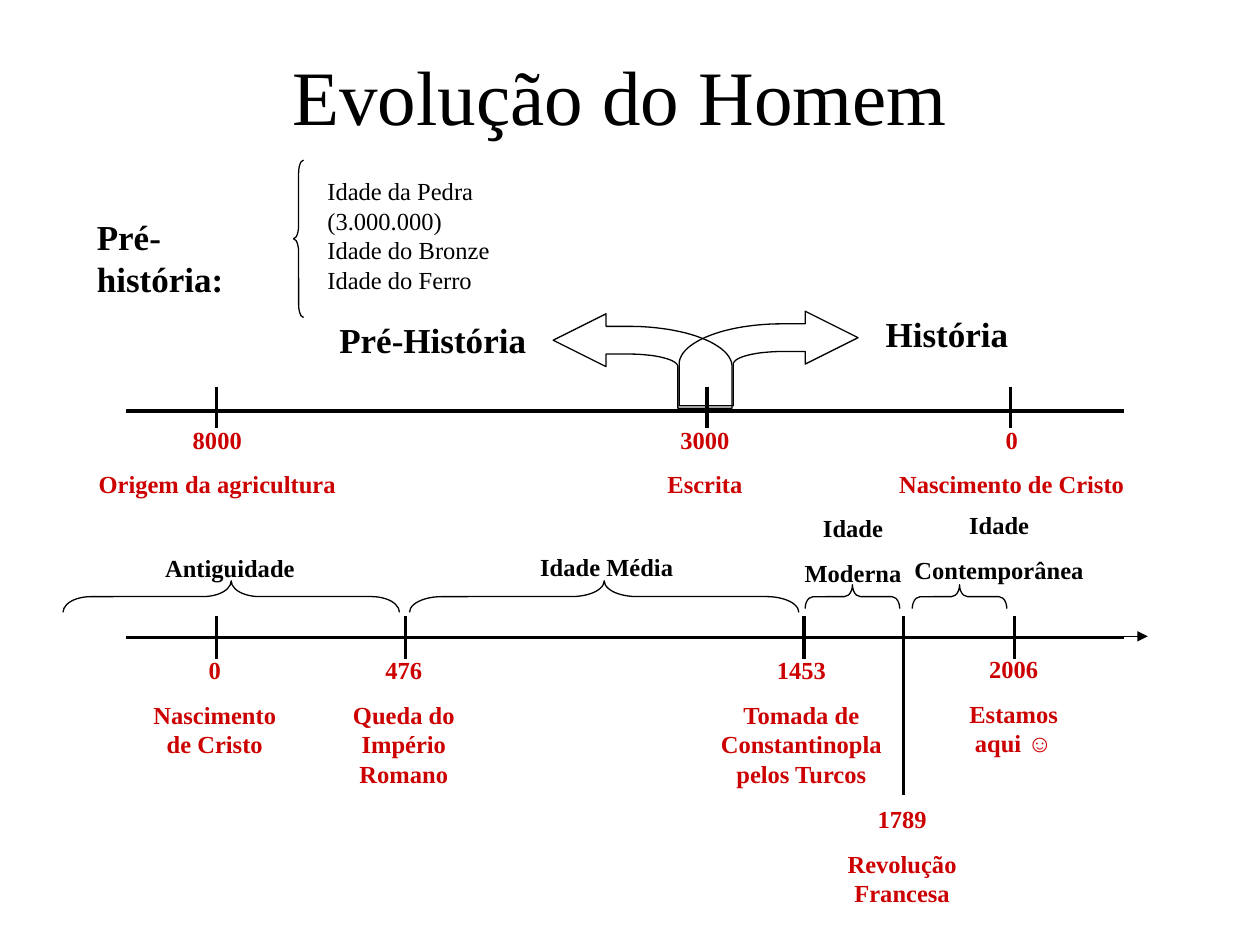
import math

import pptx
import pptx.dml.color
import pptx.enum.shapes
import pptx.enum.text
import pptx.oxml
import pptx.oxml.ns
import pptx.util
from pptx.util import Inches

BLACK = pptx.dml.color.RGBColor(0x00, 0x00, 0x00)
RED = pptx.dml.color.RGBColor(0xCC, 0x00, 0x00)
FONT = "Times New Roman"
SYMBOL_FONT = "Arial"
ALIGN = pptx.enum.text.PP_ALIGN
ANCHOR = pptx.enum.text.MSO_ANCHOR


def add_text(slide, text, left, top, width, height, size=14, color=BLACK, bold=True,
             align=ALIGN.CENTER, anchor=ANCHOR.TOP, space_before=8.8, wrap=True):
    """Add a text box with one paragraph for each line of text."""
    box = slide.shapes.add_textbox(Inches(left), Inches(top), Inches(width), Inches(height))
    frame = box.text_frame
    frame.word_wrap = wrap
    frame.vertical_anchor = anchor
    for index, line in enumerate(text.split("\n")):
        paragraph = frame.paragraphs[0] if index == 0 else frame.add_paragraph()
        paragraph.alignment = align
        paragraph.space_before = pptx.util.Pt(space_before if index else 0)
        words, symbol, _ = line.partition("☺")
        for part, name in ((words, FONT), (symbol, SYMBOL_FONT)):
            if part:
                run = paragraph.add_run()
                run.text = part
                run.font.name = name
                run.font.size = pptx.util.Pt(size)
                run.font.bold = bold
                run.font.color.rgb = color


def add_line(slide, start, end, width=2, arrow=False):
    """Draw a straight line, with an arrowhead at its end if asked."""
    line = slide.shapes.add_connector(
        pptx.enum.shapes.MSO_CONNECTOR.STRAIGHT, *map(Inches, (*start, *end)))
    line.line.color.rgb = BLACK
    line.line.width = pptx.util.Pt(width)
    properties = line._element.spPr
    if arrow:
        outline = properties.find(pptx.oxml.ns.qn("a:ln"))
        pptx.oxml.xmlchemy.OxmlElement
        head = outline.makeelement(pptx.oxml.ns.qn("a:tailEnd"), {"type": "triangle"})
        outline.append(head)
    properties.append(properties.makeelement(pptx.oxml.ns.qn("a:effectLst"), {}))


def set_outline(shape):
    """Leave a shape with only a thin black outline."""
    shape.shadow.inherit = False
    shape.fill.background()
    shape.line.color.rgb = BLACK
    shape.line.width = pptx.util.Pt(0.75)


def add_brace(slide, left, top, width, height):
    """Draw a brace in a box, pointing left if tall and up if wide."""
    length, depth = max(width, height), min(width, height)
    brace = slide.shapes.add_shape(
        pptx.enum.shapes.MSO_SHAPE.LEFT_BRACE,
        Inches(left + (width - depth) / 2), Inches(top + (height - length) / 2),
        Inches(depth), Inches(length))
    brace.rotation = 90 if width > height else 0
    brace.adjustments[0] = length / 12 / depth
    set_outline(brace)


def ellipse_arc(center, radii, steps=24):
    """Return the points of a quarter ellipse from its top to its left end."""
    angles = [math.pi / 2 * step / steps for step in range(steps + 1)]
    return [(center[0] - radii[0] * math.sin(angle), center[1] - radii[1] * math.cos(angle))
            for angle in angles]


def add_curved_arrow(slide, left, top, width=1.42, height=0.75, mirrored=False):
    """Draw an arrow that rises and bends right, or left when mirrored."""
    neck, bend, shaft = 1.0, 0.82, 0.43
    points = [(width, 0.21), (neck, 0), (neck, 0.1)]
    points += ellipse_arc((bend, 0.42), (bend, 0.32))
    points += [(0, height), (shaft, height)]
    points += reversed(ellipse_arc((bend, 0.42), (bend - shaft, 0.1)))
    points += [(neck, 0.32), (neck, 0.42)]
    outline = [(Inches(left + (width - x if mirrored else x)), Inches(top + y))
               for x, y in points]
    builder = slide.shapes.build_freeform(*outline[0])
    builder.add_line_segments(outline[1:], close=True)
    set_outline(builder.convert_to_shape())


def add_prehistory(slide, left, top):
    """Place the heading, brace and list of the prehistoric ages."""
    add_text(slide, "Pré-história:", left, top + 0.39, 1.71, 0.44, size=20,
             align=ALIGN.LEFT, wrap=False)
    add_brace(slide, left + 1.66, top, 0.08, 1.25)
    add_text(slide, "Idade da Pedra (3.000.000)\nIdade do Bronze\nIdade do Ferro",
             left + 1.83, top + 0.08, 1.58, 1.39, bold=False, align=ALIGN.LEFT,
             space_before=0)


def add_timeline(slide, left, axis, width, events):
    """Draw an axis with a tick and a red label for each event."""
    add_line(slide, (left, axis), (left + width, axis))
    for text, tick, above, below, label_left, label_top, label_width, label_height in events:
        add_line(slide, (left + tick, axis - above), (left + tick, axis + below))
        add_text(slide, text, left + label_left, axis + label_top, label_width,
                 label_height, color=RED)


def add_early_timeline(slide, left, axis, width):
    """Place the timeline from farming to the birth of Christ."""
    add_timeline(slide, left, axis, width, [
        ("8000\nOrigem da agricultura", 0.72, 0.19, 0.14, -0.44, 0.06, 2.33, 0.69),
        ("3000\nEscrita", 4.61, 0.19, 0.14, 3.97, 0.06, 1.25, 0.69),
        ("0\nNascimento de Cristo", 7.02, 0.19, 0.14, 5.78, 0.06, 2.5, 0.69),
    ])
    add_curved_arrow(slide, left + 4.39, axis - 0.79)
    add_curved_arrow(slide, left + 3.39, axis - 0.77, mirrored=True)
    add_text(slide, "História", left + 5.89, axis - 0.83, 1.25, 0.44, size=20)
    add_text(slide, "Pré-História", left + 1.56, axis - 0.78, 1.75, 0.44, size=20)


def add_late_timeline(slide, left, axis, width):
    """Place the timeline from the birth of Christ to today with its ages."""
    add_timeline(slide, left, axis, width, [
        ("0\nNascimento de Cristo", 0.72, 0.17, 0.17, 0.08, 0.09, 1.25, 0.92),
        ("476\nQueda do Império Romano", 2.22, 0.17, 0.17, 1.58, 0.09, 1.25, 1.16),
        ("1453\nTomada de Constantinopla pelos Turcos",
         5.38, 0.17, 0.17, 4.57, 0.09, 1.58, 1.16),
        ("1789\nRevolução Francesa", 6.17, 0.17, 1.25, 5.37, 1.27, 1.58, 0.92),
        ("2006\nEstamos aqui ☺", 7.05, 0.17, 0.17, 6.42, 0.08, 1.25, 0.92),
    ])
    ages = [
        ("Antiguidade", (0.2, -0.72, 1.25, 0.34), (-0.5, -0.45, 2.67, 0.25)),
        ("Idade Média", (3.09, -0.73, 1.45, 0.34), (2.25, -0.45, 3.09, 0.25)),
        ("Idade\nModerna", (5.12, -1.04, 1.3, 0.69), (5.39, -0.42, 0.75, 0.19)),
        ("Idade\nContemporânea", (5.78, -1.06, 2.3, 0.69), (6.24, -0.42, 0.75, 0.19)),
    ]
    for text, (label_x, label_y, *label_size), (brace_x, brace_y, *brace_size) in ages:
        add_text(slide, text, left + label_x, axis + label_y, *label_size)
        add_brace(slide, left + brace_x, axis + brace_y, *brace_size)
    add_line(slide, (left + 7.52, axis - 0.01), (left + 8.11, axis - 0.01),
             width=0.75, arrow=True)


def main():
    """Build the slide and save it."""
    presentation = pptx.Presentation()
    presentation.slide_width, presentation.slide_height = Inches(10), Inches(7.5)
    slide = presentation.slides.add_slide(presentation.slide_layouts[6])
    add_text(slide, "Evolução do Homem", 0.67, 0.42, 8.5, 0.67, size=44, bold=False,
             anchor=ANCHOR.MIDDLE)
    add_prehistory(slide, 0.67, 1.27)
    add_early_timeline(slide, 1, 3.26, 7.92)
    add_late_timeline(slide, 1, 5.06, 7.92)
    presentation.save("out.pptx")


if __name__ == "__main__":
    main()
